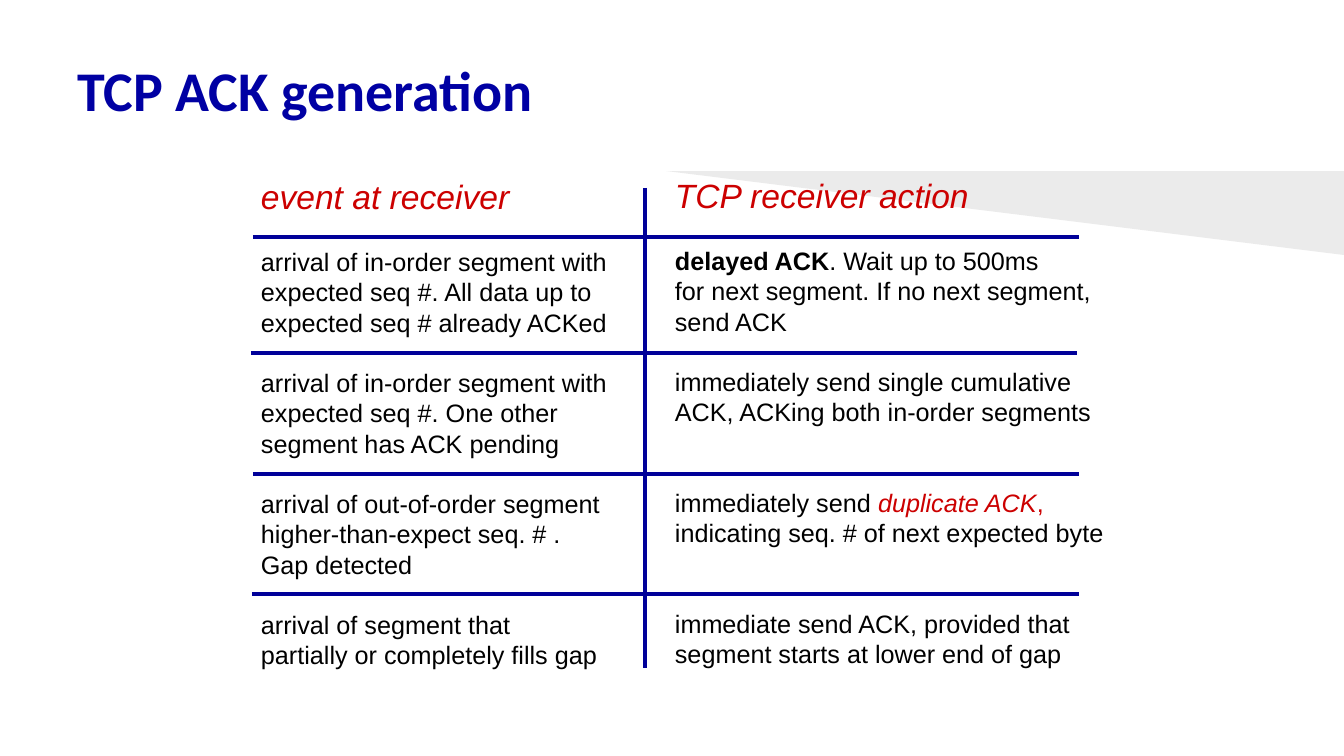
from lxml import etree
from pptx import Presentation
from pptx import util as u
from pptx.dml.color import RGBColor
from pptx.enum import shapes, text
from pptx.oxml.ns import qn

TITLE = "TCP ACK generation"
RED, BLACK, NAVY, BLUE = "CC0000", "000000", "000099", "0000A3"
BOLD = {"bold": True}
DUPLICATE = {"color": RED, "italic": True}
COLUMNS = [
    {
        "place": (251, 171, 380, 505),
        "heading": "event at receiver",
        "cells": [
            ["arrival of in-order segment with",
             "expected seq #. All data up to",
             "expected seq # already ACKed"],
            ["arrival of in-order segment with",
             "expected seq #. One other",
             "segment has ACK pending"],
            ["arrival of out-of-order segment",
             "higher-than-expect seq. # .",
             "Gap detected"],
            ["arrival of segment that",
             "partially or completely fills gap"],
        ],
    },
    {
        "place": (665, 170, 460, 505),
        "heading": "TCP receiver action",
        "cells": [
            [[("delayed ACK", BOLD), (". Wait up to 500ms", {})],
             "for next segment. If no next segment,",
             "send ACK"],
            ["immediately send single cumulative",
             "ACK, ACKing both in-order segments"],
            [[("immediately send ", {}), ("duplicate ACK", DUPLICATE), (",", {"color": RED})],
             "indicating seq. # of next expected byte"],
            ["immediate send ACK, provided that",
             "segment starts at lower end of gap"],
        ],
    },
]
RULES = [
    (645, 188, 645, 668),
    (253, 237, 1079, 237),
    (251, 353, 1077, 353),
    (253, 474, 1079, 474),
    (252, 594, 1079, 594),
]
WEDGE = [(666, 171), (1344, 171), (1344, 255)]
HEADING_SIZE, BODY_SIZE, LEADING, ROW_LINES = 24, 18, 1.2, 4
SCALE = 914400 / 100.8


def px(value):
    return u.Emu(round(value * SCALE))


def rgb(value):
    return RGBColor.from_string(value)


def add_span(para, words, size=BODY_SIZE, color=BLACK, font="Arial", bold=False, italic=False):
    span = para.add_run()
    span.text = words
    span.font.size = u.Pt(size)
    span.font.name = font
    span.font.bold = bold
    span.font.italic = italic
    span.font.color.rgb = rgb(color)


def add_line(para, line, before=0, size=BODY_SIZE, **style):
    para.alignment = text.PP_ALIGN.LEFT
    para.line_spacing = u.Pt(size * LEADING)
    para.space_before = u.Pt(before * BODY_SIZE * LEADING)
    for words, extra in [(line, {})] if isinstance(line, str) else line:
        add_span(para, words, size=size, **{**style, **extra})


def add_wedge(page):
    points = [(px(x), px(y)) for x, y in WEDGE]
    builder = page.shapes.build_freeform(*points[0], scale=1.0)
    builder.add_line_segments(points[1:], close=True)
    wedge = builder.convert_to_shape()
    wedge.shadow.inherit = False
    wedge.line.fill.background()
    wedge.fill.solid()
    wedge.fill.fore_color.rgb = rgb(BLACK)
    color = wedge.fill._xPr.find(qn("a:solidFill"))[0]
    etree.SubElement(color, qn("a:alpha")).set("val", "8000")


def add_title(page):
    box = page.shapes.title
    box.left, box.top, box.width, box.height = map(px, (67, 30, 1210, 126))
    box.text_frame.vertical_anchor = text.MSO_ANCHOR.MIDDLE
    para = box.text_frame.paragraphs[0]
    para.alignment = text.PP_ALIGN.LEFT
    para.line_spacing = 0.9
    add_span(para, TITLE, size=40, color=BLUE, font="Calibri", bold=True)


def add_column(page, place, heading, cells):
    frame = page.shapes.add_textbox(*map(px, place)).text_frame
    frame.word_wrap = True
    add_line(frame.paragraphs[0], heading, size=HEADING_SIZE, color=RED, italic=True)
    gap = 1
    for lines in cells:
        for index, line in enumerate(lines):
            add_line(frame.add_paragraph(), line, before=0 if index else gap)
        gap = ROW_LINES - len(lines)


def add_rule(page, ends):
    rule = page.shapes.add_connector(shapes.MSO_CONNECTOR.STRAIGHT, *map(px, ends))
    rule.line.color.rgb = rgb(NAVY)
    rule.line.width = u.Pt(2.25)
    etree.SubElement(rule._element.spPr, qn("a:effectLst"))


def main():
    deck = Presentation()
    deck.slide_width, deck.slide_height = px(1344), px(756)
    page = deck.slides.add_slide(deck.slide_layouts[5])
    add_wedge(page)
    add_title(page)
    for column in COLUMNS:
        add_column(page, **column)
    for ends in RULES:
        add_rule(page, ends)
    deck.save("out.pptx")


if __name__ == "__main__":
    main()
